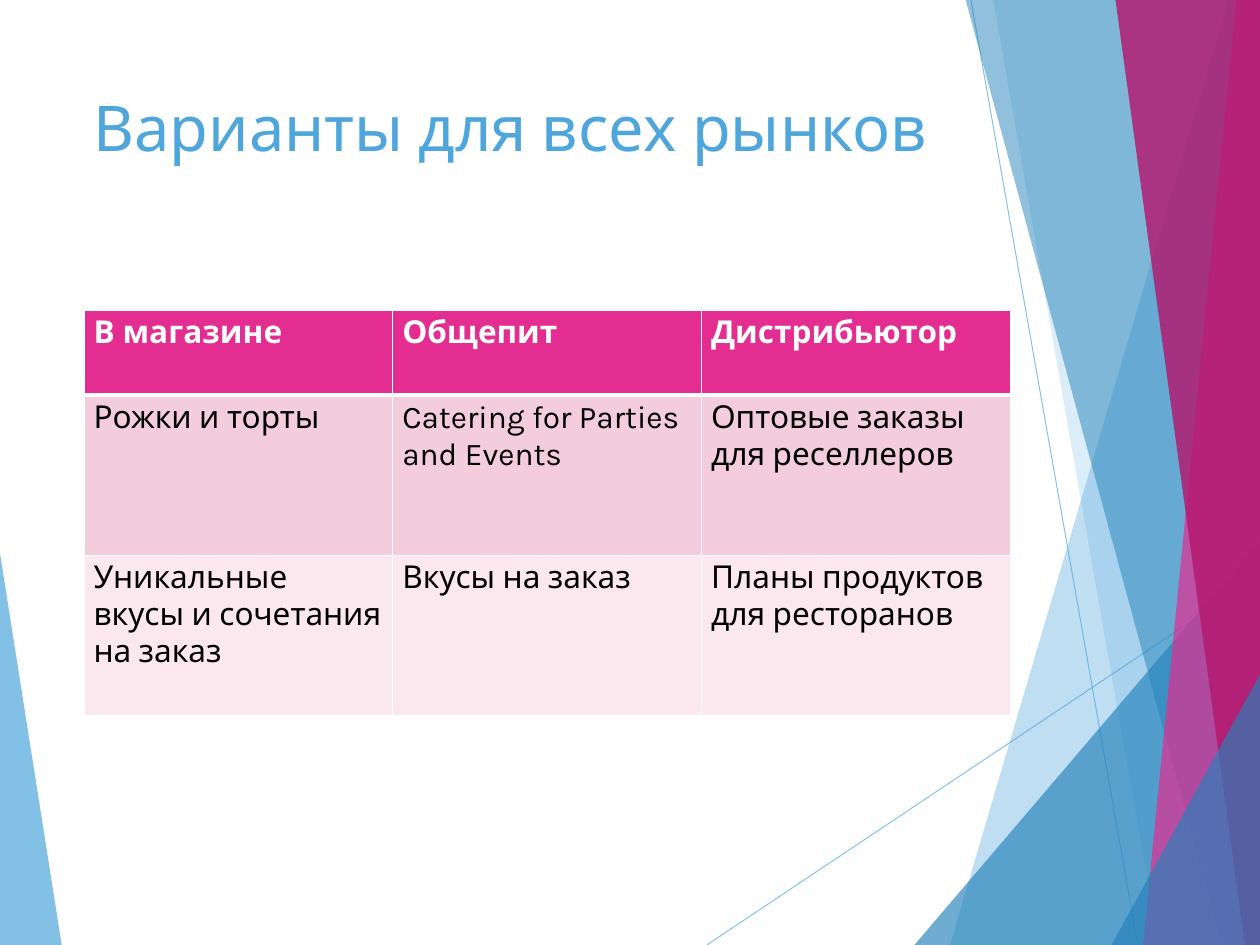
"""Build a slide with a title, a market table and a frame of slanted bands."""
from dataclasses import dataclass

import lxml.etree
import pptx
import pptx.dml.color
import pptx.enum.shapes
import pptx.enum.text
import pptx.oxml.ns
import pptx.util

Pt = pptx.util.Pt
qn = pptx.oxml.ns.qn
WIDTH, HEIGHT = 959, 719.28
FONT = "Karla"
SKY, BLUE, PINK, PLUM, WHITE = "4EA6DC", "2582BB", "E32D91", "B4186E", "FFFFFF"


@dataclass
class Band:
    points: list[tuple[float, float]]
    color: str
    alpha: int


@dataclass
class Line:
    start: tuple[float, float]
    end: tuple[float, float]


@dataclass
class Row:
    height: float
    fill: str
    ink: str
    bold: bool
    texts: tuple[str, ...]


def slant(top: float, foot: float, color: str, alpha: int) -> Band:
    edge = [(top, 0), (foot, HEIGHT), (WIDTH, HEIGHT), (WIDTH, 0)]
    return Band(edge, color, alpha)


def wedge(foot: float, peak: float, color: str, alpha: int) -> Band:
    return Band([(foot, HEIGHT), (WIDTH, peak), (WIDTH, HEIGHT)], color, alpha)


LEFT = Band([(0, 421), (47, HEIGHT), (0, HEIGHT)], SKY, 70)
LINES = [Line((538, HEIGHT), (WIDTH, 438)), Line((739, 0), (866, HEIGHT))]
BANDS = [
    slant(935, 723, SKY, 36),
    slant(756, 882, SKY, 20),
    wedge(696, 411, BLUE, 66),
    slant(735, 930, BLUE, 50),
    slant(941, 870, PINK, 70),
    slant(849, 947.5, PLUM, 82),
    wedge(846, 513.5, BLUE, 66),
]
ROWS = [
    Row(64.5, PINK, WHITE, True, ("В магазине", "Общепит", "Дистрибьютор")),
    Row(122.25, "F4CDDC", "000000", False,
        ("Рожки и торты", "Catering for Parties and Events",
         "Оптовые заказы для реселлеров")),
    Row(122.25, "FAE8EE", "000000", False,
        ("Уникальные вкусы и сочетания на заказ", "Вкусы на заказ",
         "Планы продуктов для ресторанов")),
]


def rgb(code: str) -> pptx.dml.color.RGBColor:
    return pptx.dml.color.RGBColor.from_string(code)


def paint(fill, color: str) -> None:
    fill.solid()
    fill.fore_color.rgb = rgb(color)


def fade(shape, alpha: int) -> None:
    tint = next(shape.element.spPr.iter(qn("a:srgbClr")))
    lxml.etree.SubElement(tint, qn("a:alpha"), val=str(alpha * 1000))


def style(text, size: float, color: str, bold: bool = False) -> None:
    font = text.font
    font.name, font.size, font.bold = FONT, Pt(size), bold
    font.color.rgb = rgb(color)


def draw_band(slide, band: Band) -> None:
    first, *rest = [(Pt(x), Pt(y)) for x, y in band.points]
    pen = slide.shapes.build_freeform(*first)
    pen.add_line_segments(rest, close=True)
    shape = pen.convert_to_shape()
    shape.shadow.inherit = False
    paint(shape.fill, band.color)
    fade(shape, band.alpha)
    shape.line.fill.background()


def draw_line(slide, line: Line) -> None:
    ends = [Pt(n) for n in (*line.start, *line.end)]
    kind = pptx.enum.shapes.MSO_CONNECTOR.STRAIGHT
    shape = slide.shapes.add_connector(kind, *ends)
    shape.line.width = Pt(0.75)
    shape.line.color.rgb = rgb(SKY)
    fade(shape, 70)
    lxml.etree.SubElement(shape.element.spPr, qn("a:effectLst"))


def draw_title(slide, text: str) -> None:
    title = slide.shapes.title
    slide.shapes.element.append(title.element)
    title.left, title.top, title.width, title.height = map(Pt, (64, 64, 666, 138))
    frame = title.text_frame
    frame.text = text
    frame.word_wrap = True
    frame.auto_size = pptx.enum.text.MSO_AUTO_SIZE.NONE
    frame.vertical_anchor = pptx.enum.text.MSO_ANCHOR.TOP
    frame.paragraphs[0].alignment = pptx.enum.text.PP_ALIGN.LEFT
    style(frame.paragraphs[0], 48, SKY)


def add_edges(cell, top: float, foot: float) -> None:
    props = cell._tc.get_or_add_tcPr()
    for side, width in zip("LRTB", (1, 1, top, foot)):
        edge = lxml.etree.SubElement(props, qn(f"a:ln{side}"), w=str(Pt(width)))
        fill = lxml.etree.SubElement(edge, qn("a:solidFill"))
        lxml.etree.SubElement(fill, qn("a:srgbClr"), val=WHITE)


def draw_table(slide, rows: list[Row]) -> None:
    count = len(rows[0].texts)
    total = sum(row.height for row in rows)
    box = map(Pt, (64, 236, 705, total))
    table = slide.shapes.add_table(len(rows), count, *box).table
    for column in table.columns:
        column.width = Pt(705 / count)
    for i, row in enumerate(rows):
        table.rows[i].height = Pt(row.height)
        for j, text in enumerate(row.texts):
            cell = table.cell(i, j)
            cell.text = text
            add_edges(cell, 3 if i == 1 else 1, 3 if i == 0 else 1)
            paint(cell.fill, row.fill)
            style(cell.text_frame.paragraphs[0], 24, row.ink, row.bold)


def main() -> None:
    deck = pptx.Presentation()
    deck.slide_width, deck.slide_height = Pt(WIDTH), Pt(HEIGHT)
    slide = deck.slides.add_slide(deck.slide_layouts[5])
    draw_band(slide, LEFT)
    for line in LINES:
        draw_line(slide, line)
    for band in BANDS:
        draw_band(slide, band)
    draw_title(slide, "Варианты для всех рынков")
    draw_table(slide, ROWS)
    deck.save("out.pptx")


main()
